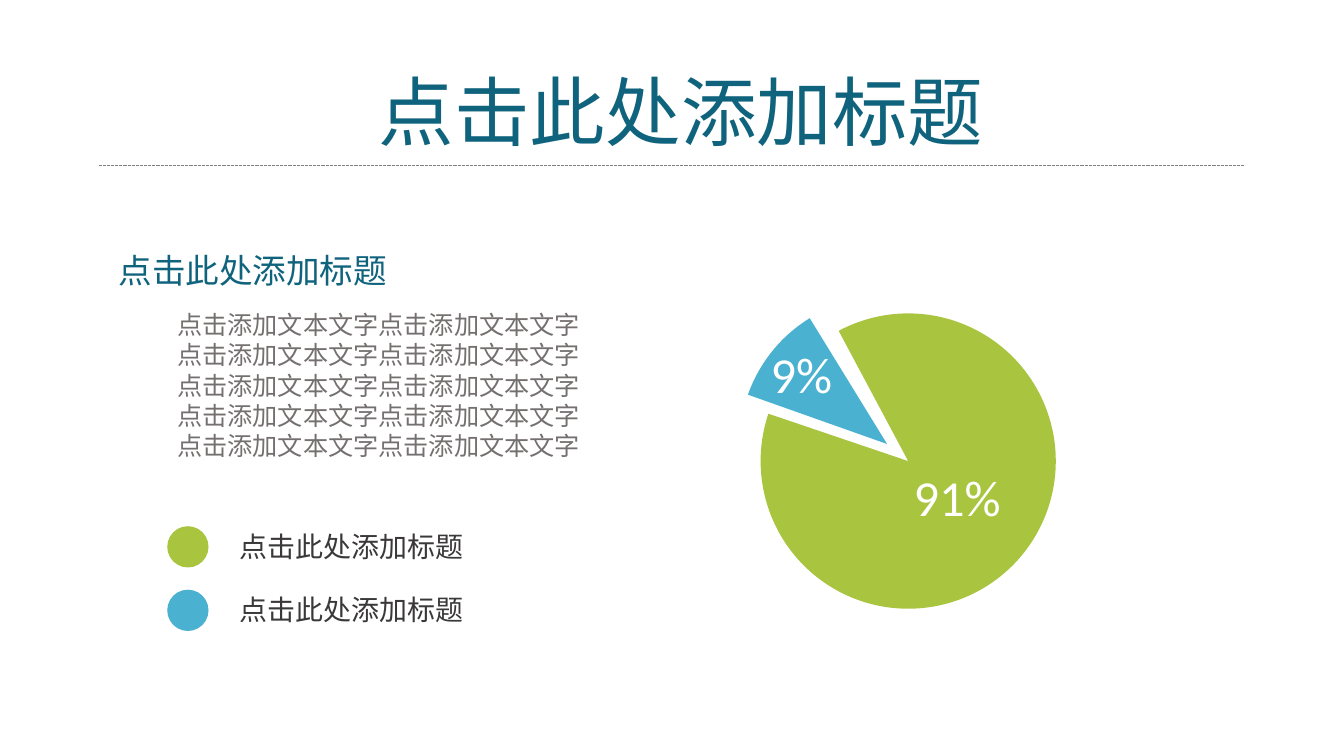
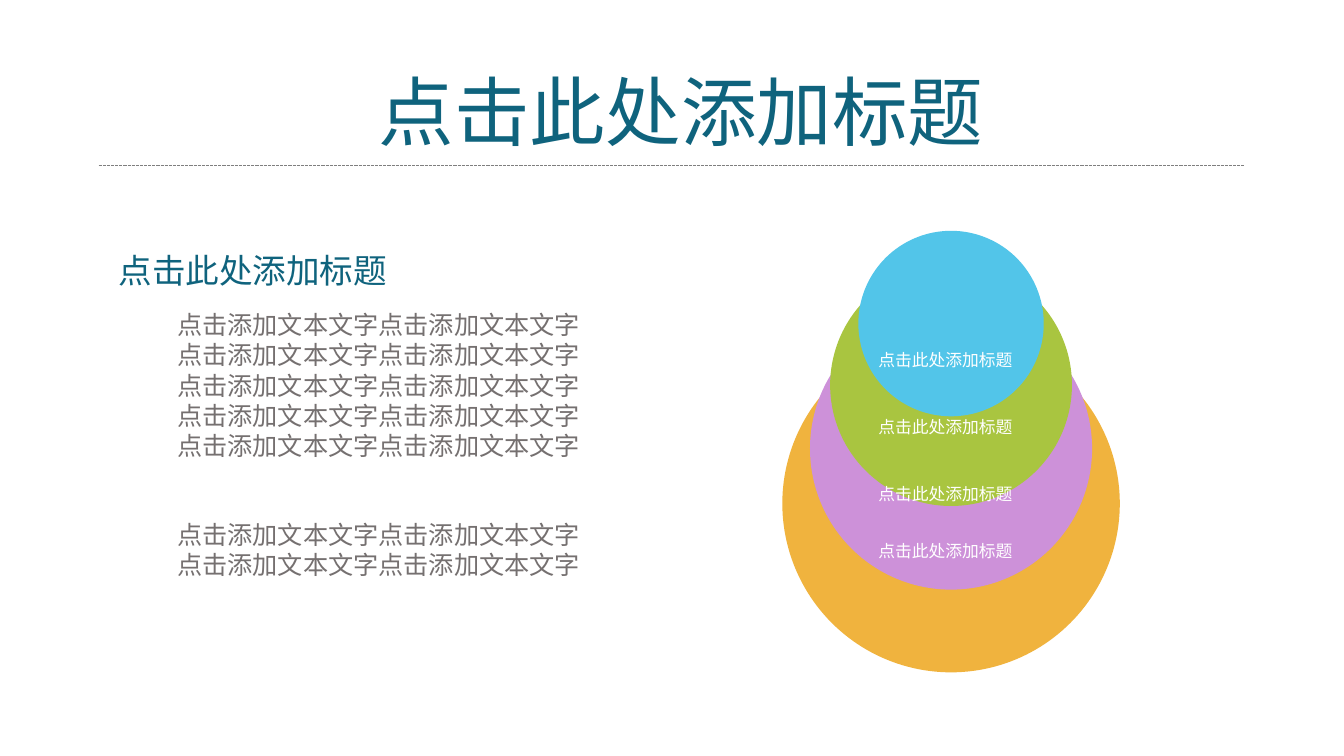
from pptx import Presentation
from pptx.dml.color import RGBColor
from pptx.enum.dml import MSO_LINE
from pptx.enum.shapes import MSO_CONNECTOR, MSO_SHAPE
from pptx.enum.text import MSO_ANCHOR, MSO_AUTO_SIZE, PP_ALIGN
from pptx.oxml.ns import qn
from pptx.util import Inches, Pt
from lxml.etree import SubElement

COLORS = {
    "teal": "0F637D", "body": "757070", "dark": "3A3838", "white": "FFFFFF",
    "rule": "7F7F7F", "green": "A9C540", "blue": "4AB1D0", "sky": "52C5E9",
    "violet": "CD91D9", "amber": "F0B33E",
}
HEAD_FONT, BODY_FONT = "Noto Sans CJK JP", "Noto Sans CJK SC"
STYLES = {
    "title": dict(name=HEAD_FONT, size=54, color="teal", align=PP_ALIGN.CENTER, wrap=True),
    "subtitle": dict(name=HEAD_FONT, size=24, color="teal", align=PP_ALIGN.CENTER, wrap=False),
    "body": dict(name=BODY_FONT, size=18, color="body", align=PP_ALIGN.LEFT, wrap=True),
    "legend": dict(name=BODY_FONT, size=20, color="dark", align=PP_ALIGN.CENTER, wrap=False),
    "ring": dict(name=BODY_FONT, size=12, color="white", align=PP_ALIGN.CENTER, wrap=False),
    "percent": dict(name="Calibri", size=36, color="white", align=PP_ALIGN.LEFT, wrap=False),
}

HEADING = "点击此处添加标题"
SENTENCE = "点击添加文本文字"
WIDTH, HEIGHT = 13.34, 7.5
TITLE_BOX = dict(left=2.76, top=0.59, width=8, height=1)
RULE_LEFT, RULE_RIGHT, RULE_TOP = 0.98, 12.36, 1.64
BODY_LEFT, BODY_WIDTH = 1.66, 4.4

PIE_SIZE = 2.93
SLICES = [
    ("green", (7.55, 3.11), (241.9, 198.7), "91%", (8.97, 4.58, 1.06, 0.7)),
    ("blue", (7.34, 2.94), (199.5, 238.4), "9%", (7.55, 3.36, 0.81, 0.7)),
]
LEGEND = [("green", HEADING), ("blue", HEADING)]
LEGEND_TOP, LEGEND_STEP, DOT_SIZE = 5.22, 0.63, 0.41

RING_CENTER = 9.44
RINGS = [("amber", 3.32, 3.35), ("violet", 3.05, 2.8), ("green", 2.62, 2.4), ("sky", 2.29, 1.84)]
RING_LABELS = [(HEADING, 3.42), (HEADING, 4.09), (HEADING, 4.75), (HEADING, 5.32)]
LABEL_LEFT, LABEL_WIDTH, LABEL_HEIGHT = 8.62, 1.53, 0.3


def color(name):
    return RGBColor.from_string(COLORS[name])


def write(sp, text, style):
    st = STYLES[style]
    tf = sp.text_frame
    frame = dict(word_wrap=st["wrap"], auto_size=MSO_AUTO_SIZE.NONE, vertical_anchor=MSO_ANCHOR.TOP)
    for key, value in frame.items():
        setattr(tf, key, value)
    p = tf.paragraphs[0]
    p.alignment = st["align"]
    r = p.add_run()
    r.text = text
    for key, value in dict(name=st["name"], size=Pt(st["size"])).items():
        setattr(r.font, key, value)
    r.font.color.rgb = color(st["color"])
    SubElement(r.font._element, qn("a:ea")).set("typeface", st["name"])


def add_text(s, text, style, *box):
    write(s.shapes.add_textbox(*map(Inches, box)), text, style)


def add_filled(s, kind, fill, left, top, size):
    sp = s.shapes.add_shape(kind, *map(Inches, (left, top, size, size)))
    sp.shadow.inherit = False
    sp.fill.solid()
    sp.fill.fore_color.rgb = color(fill)
    sp.line.fill.background()
    return sp


def add_base(prs):
    s = prs.slides.add_slide(prs.slide_layouts[5])
    title = s.shapes.title
    for key, value in TITLE_BOX.items():
        setattr(title, key, Inches(value))
    write(title, HEADING, "title")
    rule = s.shapes.add_connector(
        MSO_CONNECTOR.STRAIGHT, *map(Inches, (RULE_LEFT, RULE_TOP, RULE_RIGHT, RULE_TOP)))
    rule.line.color.rgb = color("rule")
    rule.line.width = Pt(0.75)
    rule.line.dash_style = MSO_LINE.SQUARE_DOT
    SubElement(rule._element.spPr, qn("a:effectLst"))
    add_text(s, HEADING, "subtitle", 1.08, 2.43, 2.86, 0.5)
    add_text(s, SENTENCE * 10, "body", BODY_LEFT, 3.02, BODY_WIDTH, 1.6)
    return s


def add_pie_slide(prs):
    s = add_base(prs)
    for fill, corner, angles, _, _ in SLICES:
        sp = add_filled(s, MSO_SHAPE.PIE, fill, *corner, PIE_SIZE)
        for i, degrees in enumerate(angles):
            sp.adjustments[i] = degrees * 0.6
    for _, _, _, percent, box in SLICES:
        add_text(s, percent, "percent", *box)
    for i, (fill, label) in enumerate(LEGEND):
        top = LEGEND_TOP + i * LEGEND_STEP
        add_filled(s, MSO_SHAPE.OVAL, fill, BODY_LEFT, top, DOT_SIZE)
        add_text(s, label, "legend", 2.28, top - 0.02, 2.42, 0.44)


def add_rings_slide(prs):
    s = add_base(prs)
    for fill, top, size in RINGS:
        add_filled(s, MSO_SHAPE.OVAL, fill, RING_CENTER - size / 2, top, size)
    for label, top in RING_LABELS:
        add_text(s, label, "ring", LABEL_LEFT, top, LABEL_WIDTH, LABEL_HEIGHT)
    add_text(s, SENTENCE * 4, "body", BODY_LEFT, 5.1, BODY_WIDTH, 0.7)


def main():
    prs = Presentation()
    prs.slide_width, prs.slide_height = Inches(WIDTH), Inches(HEIGHT)
    add_pie_slide(prs)
    add_rings_slide(prs)
    prs.save("out.pptx")


if __name__ == "__main__":
    main()
